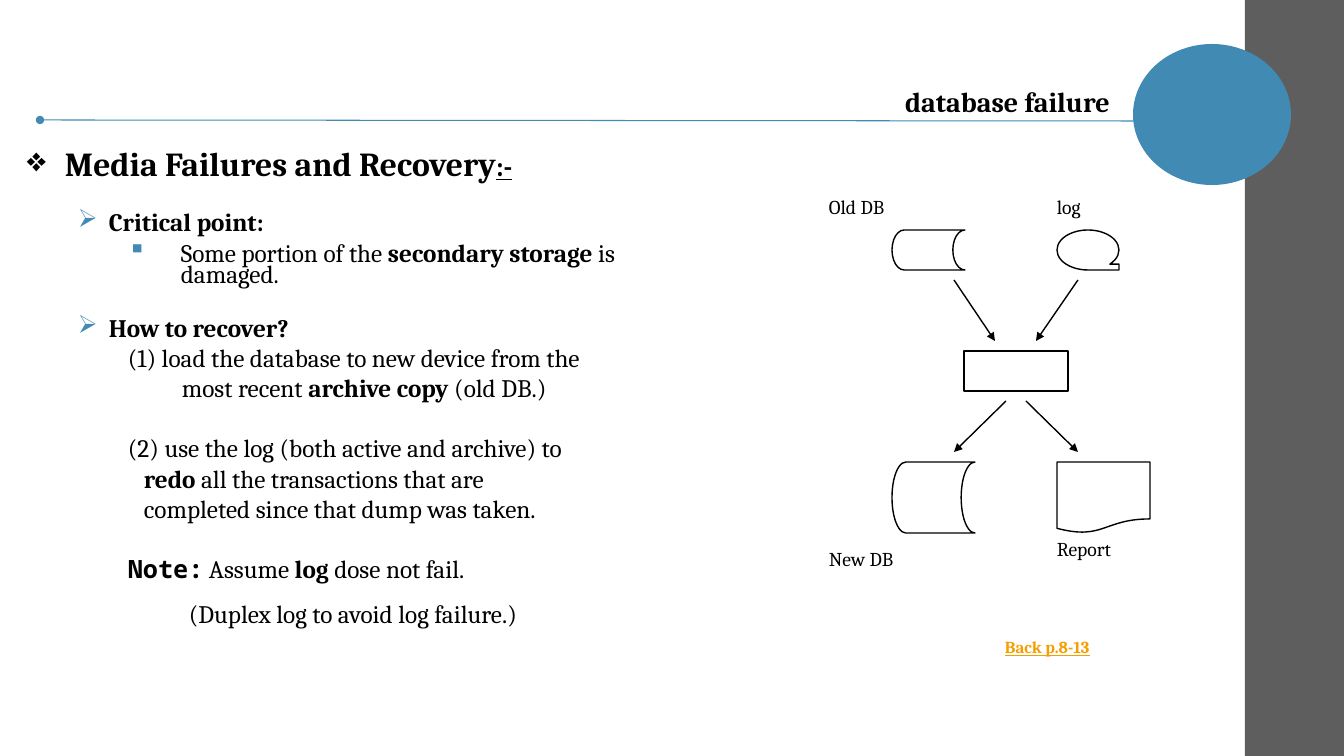
"""Build the slide on media failures and recovery of a database."""
from dataclasses import dataclass, field
from typing import Any

from lxml import etree
from pptx import Presentation
from pptx.dml.color import RGBColor
from pptx.enum.shapes import MSO_CONNECTOR, MSO_SHAPE
from pptx.enum.text import MSO_ANCHOR, MSO_AUTO_SIZE, PP_ALIGN
from pptx.oxml.ns import qn
from pptx.util import Emu, Pt

EMU_PER_PX = 12192000 / 1344
FONT, MONO = "Cambria", "Noto Sans Mono"
BLACK, WHITE, BLUE, GRAY, ORANGE = "000000", "FFFFFF", "418AB3", "5E5E5E", "F59E00"
RECTANGLE, ELLIPSE = MSO_SHAPE.RECTANGLE, MSO_SHAPE.OVAL
STORAGE, TAPE = MSO_SHAPE.FLOWCHART_STORED_DATA, MSO_SHAPE.FLOWCHART_SEQUENTIAL_ACCESS_STORAGE
PROCESS, DOCUMENT = MSO_SHAPE.FLOWCHART_PROCESS, MSO_SHAPE.FLOWCHART_DOCUMENT
STRAIGHT = MSO_CONNECTOR.STRAIGHT
RIGHT, TOP, NO_FIT = PP_ALIGN.RIGHT, MSO_ANCHOR.TOP, MSO_AUTO_SIZE.NONE


@dataclass
class TextRun:
    text: str
    bold: bool = False
    size: int = 18
    font: str = FONT
    color: str = BLACK
    underline: bool = False


@dataclass
class TextParagraph:
    runs: list[TextRun]
    margin: int = 0
    indent: int = 0
    level: int = 0
    bullet: str = ""
    bullet_color: str = BLUE
    layout: dict[str, Any] = field(default_factory=dict)


@dataclass
class Block:
    kind: MSO_SHAPE
    box: tuple[int, int, int, int]
    fill: str = WHITE
    outline: str = ""


@dataclass
class Line:
    start: tuple[int, int]
    end: tuple[int, int]
    color: str = BLACK
    width: float = 1
    head: str = ""
    tail: str = "triangle"


@dataclass
class Label:
    text: str
    box: tuple[int, int, int, int]


BLOCKS = [
    Block(RECTANGLE, (1245, 0, 99, 756), GRAY),
    Block(ELLIPSE, (1133, 44, 158, 141), BLUE),
    Block(TAPE, (1057, 230, 62, 40), outline=BLACK),
    Block(STORAGE, (892, 230, 73, 40), outline=BLACK),
    Block(PROCESS, (964, 351, 104, 40), outline=BLACK),
    Block(STORAGE, (892, 462, 83, 71), outline=BLACK),
    Block(DOCUMENT, (1057, 462, 93, 71), outline=BLACK),
]
LINES = [
    Line((40, 120), (1137, 121), BLUE, 0.75, "oval", ""),
    Line((954, 280), (995, 341)),
    Line((1078, 280), (1036, 341)),
    Line((1006, 401), (954, 452)),
    Line((1026, 401), (1078, 452)),
]
LABELS = [
    Label("Old DB", (819, 190, 104, 40)),
    Label("log", (1047, 190, 104, 40)),
    Label("New DB", (819, 542, 135, 40)),
    Label("Report", (1047, 532, 135, 40)),
]
BODY = [
    TextParagraph([TextRun("Media Failures and Recovery", True, 24),
                   TextRun(":-", True, 20, underline=True)],
                  38, -38, bullet="❖", bullet_color=BLACK),
    TextParagraph([TextRun("Critical point:", True)], 82, -31, 1, "➢",
                  layout={"line_spacing": 0.9, "space_before": Pt(19)}),
    TextParagraph([TextRun("Some portion of the "), TextRun("secondary storage", True),
                   TextRun(" is\ndamaged.")], 154, -53, 2, "▪",
                  layout={"line_spacing": 0.7, "space_before": Pt(6)}),
    TextParagraph([TextRun("How to recover?", True)], 82, -31, 1, "➢",
                  layout={"line_spacing": 1.8}),
    TextParagraph([TextRun("(1) load the database to new device from the\nmost recent "),
                   TextRun("archive copy ", True), TextRun("(old DB.)")], 155, -54, 2),
    TextParagraph([TextRun("(2) use the log (both active and archive) to\n"),
                   TextRun("redo", True),
                   TextRun(" all the transactions that are\n"
                           "completed since that dump was taken.")],
                  117, -16, 2, layout={"space_before": Pt(21.5)}),
    TextParagraph([TextRun("Note:", True, font=MONO), TextRun(" Assume"),
                   TextRun(" log", True), TextRun(" dose not fail.")],
                  101, 0, 2, layout={"space_before": Pt(21.5)}),
    TextParagraph([TextRun("(Duplex log to avoid log failure.)")], 162, 0, 2,
                  layout={"line_spacing": 0.4, "space_before": Pt(21.5)}),
]


def px(value: float) -> Emu:
    """Turn pixels into EMU."""
    return Emu(round(value * EMU_PER_PX))


def rgb(color: str) -> RGBColor:
    """Turn a hex string into a colour."""
    return RGBColor.from_string(color)


def set_values(target: Any, values: dict[str, Any]) -> None:
    """Set each named attribute of the target."""
    for name, value in values.items():
        setattr(target, name, value)


def add_bullet(properties: Any, bullet: str, color: str) -> None:
    """Give paragraph properties a coloured bullet."""
    bullet_color = etree.SubElement(properties, qn("a:buClr"))
    etree.SubElement(bullet_color, qn("a:srgbClr"), val=color)
    etree.SubElement(properties, qn("a:buChar"), char=bullet)


def write_run(paragraph: Any, item: TextRun) -> None:
    """Write one run, with line breaks where its text has them."""
    for number, text in enumerate(item.text.split("\n")):
        if number:
            paragraph.add_line_break()
        if text:
            run = paragraph.add_run()
            run.text = text
            set_values(run.font, {"name": item.font, "size": Pt(item.size),
                                  "bold": item.bold, "underline": item.underline})
            run.font.color.rgb = rgb(item.color)


def write_text(shape: Any, items: list[TextParagraph]) -> None:
    """Fill a shape's text frame with paragraphs."""
    frame = shape.text_frame
    set_values(frame, {"word_wrap": True, "auto_size": NO_FIT, "vertical_anchor": TOP})
    for number, item in enumerate(items):
        paragraph = frame.add_paragraph() if number else frame.paragraphs[0]
        properties = paragraph._p.get_or_add_pPr()
        properties.set("marL", str(px(item.margin)))
        properties.set("indent", str(px(item.indent)))
        if item.bullet:
            add_bullet(properties, item.bullet, item.bullet_color)
        set_values(paragraph, {"level": item.level, **item.layout})
        for run in item.runs:
            write_run(paragraph, run)


def add_text(slide: Any, box: tuple[int, int, int, int], items: list[TextParagraph]) -> None:
    """Add a text box holding the paragraphs."""
    write_text(slide.shapes.add_textbox(*map(px, box)), items)


def add_block(slide: Any, block: Block) -> None:
    """Add a filled preset shape."""
    shape = slide.shapes.add_shape(block.kind, *map(px, block.box))
    shape.shadow.inherit = False
    shape.fill.solid()
    shape.fill.fore_color.rgb = rgb(block.fill)
    if block.outline:
        shape.line.color.rgb = rgb(block.outline)
        shape.line.width = Pt(1)
    else:
        shape.line.fill.background()


def add_line(slide: Any, line: Line) -> None:
    """Add a straight line with its end marks."""
    connector = slide.shapes.add_connector(STRAIGHT, *map(px, line.start + line.end))
    connector.line.color.rgb = rgb(line.color)
    connector.line.width = Pt(line.width)
    outline = connector.line._get_or_add_ln()
    for tag, mark in (("a:headEnd", line.head), ("a:tailEnd", line.tail)):
        if mark:
            etree.SubElement(outline, qn(tag), type=mark)
    etree.SubElement(connector._element.spPr, qn("a:effectLst"))


def main() -> None:
    """Build and save the presentation."""
    presentation = Presentation()
    set_values(presentation, {"slide_width": px(1344), "slide_height": px(756)})
    slide = presentation.slides.add_slide(presentation.slide_layouts[5])
    title = slide.shapes.title
    set_values(title, {"left": px(362), "top": px(79), "width": px(758), "height": px(44)})
    write_text(title, [TextParagraph([TextRun("database failure", True, 20)],
                                     layout={"alignment": RIGHT})])
    for block in BLOCKS:
        add_block(slide, block)
    for line in LINES:
        add_line(slide, line)
    add_text(slide, (17, 138, 1203, 600), BODY)
    for label in LABELS:
        add_text(slide, label.box, [TextParagraph([TextRun(label.text, size=14)])])
    add_text(slide, (995, 632, 144, 30),
             [TextParagraph([TextRun("Back p.8-13", True, 12, color=ORANGE, underline=True)])])
    presentation.save("out.pptx")


if __name__ == "__main__":
    main()
